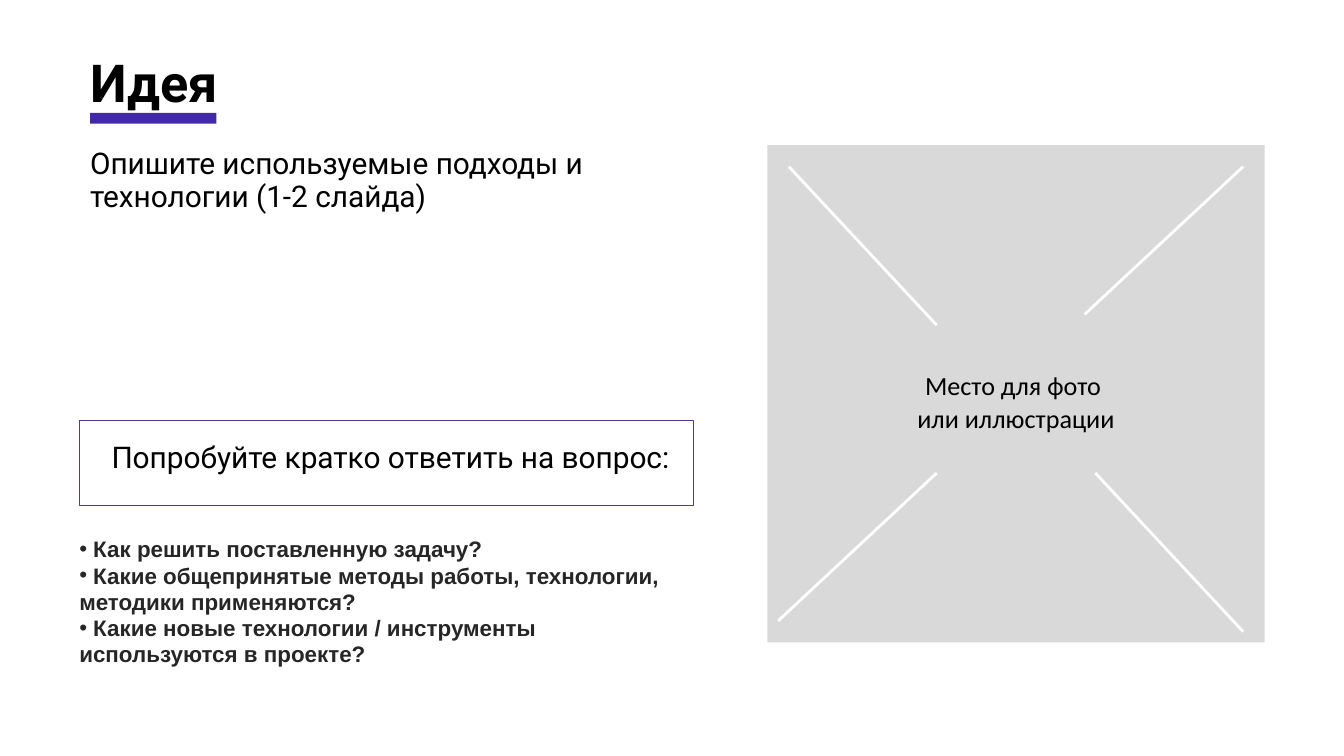
from lxml import etree
from pptx import Presentation
from pptx.dml.color import RGBColor
from pptx.enum.shapes import MSO_CONNECTOR, MSO_SHAPE
from pptx.enum.text import MSO_AUTO_SIZE, PP_ALIGN
from pptx.oxml.ns import qn
from pptx.util import Inches, Pt

RECT = MSO_SHAPE.RECTANGLE
STRAIGHT = MSO_CONNECTOR.STRAIGHT
GROW = MSO_AUTO_SIZE.SHAPE_TO_FIT_TEXT
LEFT, CENTER = PP_ALIGN.LEFT, PP_ALIGN.CENTER
COLORS = {"text": "000000", "question": "262626", "accent": "422AA6",
          "frame": "53369A", "photo": "D9D9D9", "cross": "FFFFFF"}


def rgb(name):
    return RGBColor.from_string(COLORS[name])


def add_text(box, lines, font, spacing, color="text", align=LEFT, bullet=None):
    """Add a text box without margins, one paragraph per line."""
    tf = s.shapes.add_textbox(*map(Inches, box)).text_frame
    tf.word_wrap = True
    tf.auto_size = GROW
    for side in ("left", "top", "right", "bottom"):
        setattr(tf, f"margin_{side}", 0)
    for i, line in enumerate(lines):
        p = tf.paragraphs[0] if i == 0 else tf.add_paragraph()
        p.alignment = align
        p.line_spacing = Pt(spacing)
        if bullet:
            pPr = p._p.get_or_add_pPr()
            pPr.set("marL", "0")
            pPr.set("indent", "0")
            etree.SubElement(pPr, qn("a:buFont")).set("typeface", "Arial")
            etree.SubElement(pPr, qn("a:buChar")).set("char", bullet)
        r = p.add_run()
        r.text = line
        for key, value in font.items():
            setattr(r.font, key, value)
        r.font.color.rgb = rgb(color)


prs = Presentation()
prs.slide_width = Inches(10)
prs.slide_height = Inches(10) * 9 // 16
s = prs.slides.add_slide(prs.slide_layouts[6])

heading = {"name": "Roboto", "size": Pt(28), "bold": True}
body = {"name": "Roboto", "size": Pt(16)}
question = {"name": "Arial", "size": Pt(12), "bold": True}
caption = {"name": "Calibri", "size": Pt(14)}

add_text((0.67, 0.45, 2.83, 0.39), ["Идея"], heading, 28)
add_text((0.59, 3.99, 4.57, 0.98),
         [" Как решить поставленную задачу?",
          " Какие общепринятые методы работы, технологии, методики применяются?",
          " Какие новые технологии / инструменты используются в проекте?"],
         question, 14, "question", bullet="•")
add_text((0.67, 1.09, 4.02, 0.5),
         ["Опишите используемые подходы и", "технологии (1-2 слайда)"], body, 18)
add_text((0.83, 3.28, 4.65, 0.25),
         ["Попробуйте кратко ответить на вопрос:"], body, 18)

# Title underline, question frame and photo area
for box, fill, line in [
    ((0.67, 0.84, 0.94, 0.08), "accent", None),
    ((0.59, 3.13, 4.57, 0.63), None, "frame"),
    ((5.71, 1.08, 3.7, 3.7), "photo", None),
]:
    sp = s.shapes.add_shape(RECT, *map(Inches, box))
    sp.shadow.inherit = False
    if fill:
        sp.fill.solid()
        sp.fill.fore_color.rgb = rgb(fill)
    else:
        sp.fill.background()
    if line:
        sp.line.color.rgb = rgb(line)
        sp.line.width = Pt(0.25)
    else:
        sp.line.fill.background()

# Diagonals of the photo area
for ends in [(5.87, 1.24, 6.97, 2.42), (8.15, 3.52, 9.25, 4.7),
             (9.25, 1.24, 8.07, 2.34), (6.97, 3.52, 5.79, 4.62)]:
    cn = s.shapes.add_connector(STRAIGHT, *map(Inches, ends))
    cn.line.color.rgb = rgb("cross")
    cn.line.width = Pt(1.5)
    etree.SubElement(cn._element.spPr, qn("a:effectLst"))

add_text((5.79, 2.73, 3.54, 0.5),
         ["Место для фото ", "или иллюстрации"], caption, 18, align=CENTER)

prs.save("out.pptx")
